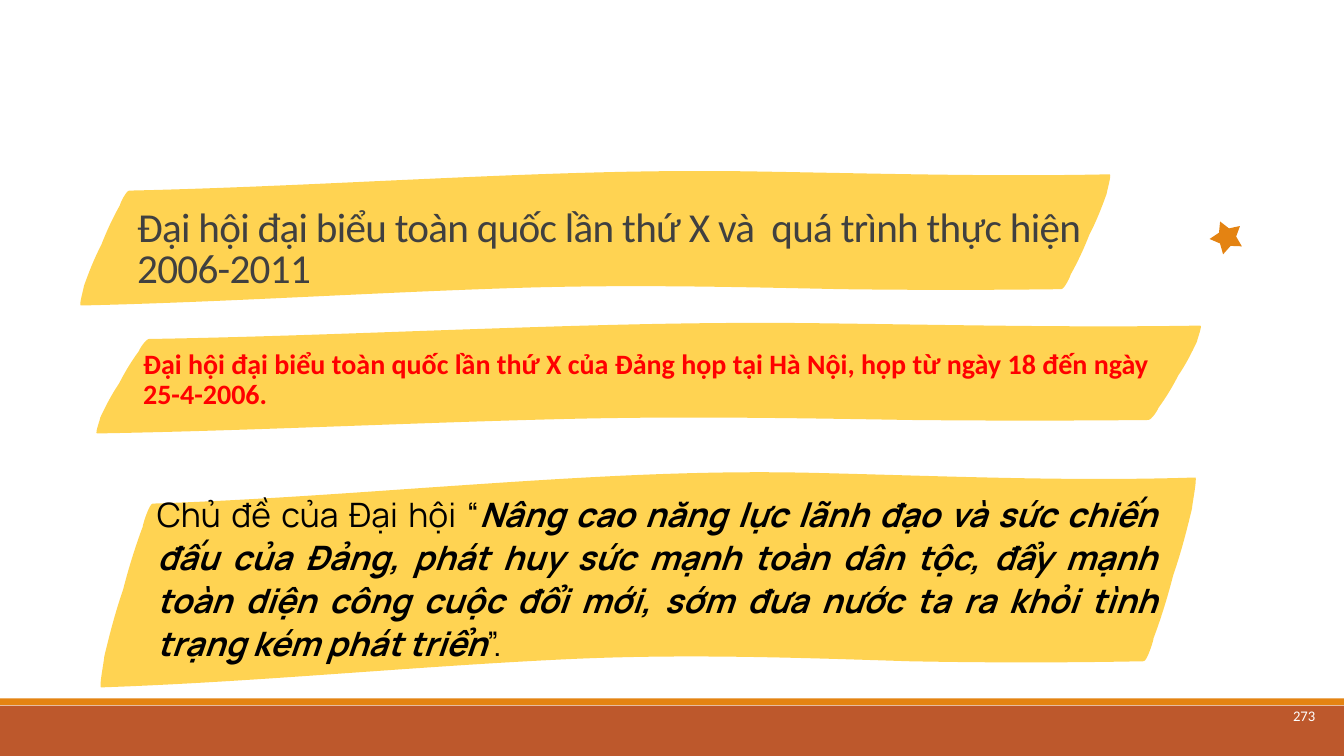
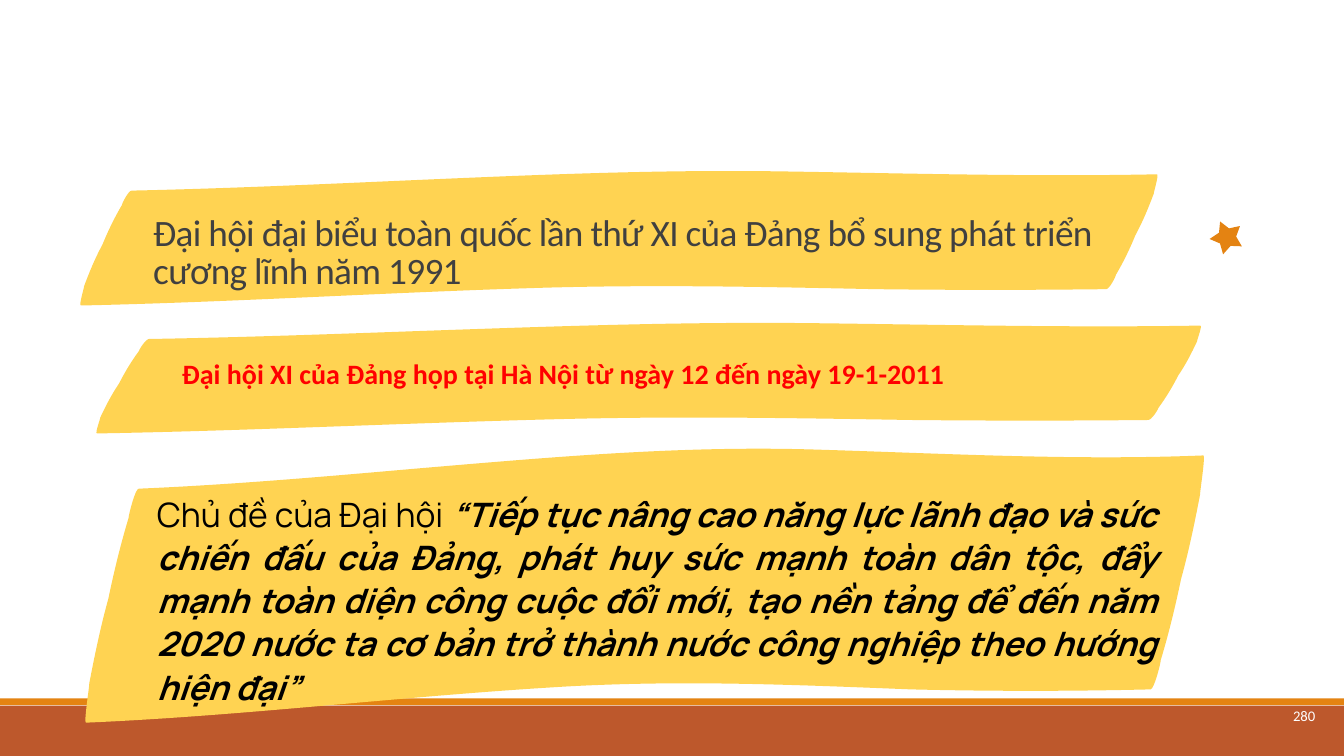
import math
from dataclasses import dataclass

import pptx
import pptx.dml.color
import pptx.enum.shapes
import pptx.enum.text
import pptx.oxml.ns
import pptx.presentation
import pptx.shapes.base
import pptx.slide
import pptx.util

Pt = pptx.util.Pt
qn = pptx.oxml.ns.qn
ALIGN = pptx.enum.text.PP_ALIGN
ANCHOR = pptx.enum.text.MSO_ANCHOR
SHAPE = pptx.enum.shapes.MSO_SHAPE

COLORS = {
    "rust": "BD582C",
    "orange": "E48312",
    "ribbon": "FFD352",
    "title": "404040",
    "date": "FF0000",
    "theme": "000000",
    "number": "FFFFFF",
}

SLIDE_WIDTH, SLIDE_HEIGHT = 960, 540
BLANK_LAYOUT = 6

Point = tuple[float, float]
Curve = tuple[Point, Point, Point]

RIBBON_START: Point = (2, 1000)
LEFT_EDGE: list[Curve] = [
    ((0, 1000), (5, 873), (5, 858)),
    ((10, 753), (15, 655), (22, 553)),
    ((27, 455), (33, 356), (40, 262)),
    ((40, 251), (46, 156), (49, 156)),
]
TOP_EDGE: list[Curve] = [
    ((131, 142), (213, 113), (295, 84)),
    ((423, 40), (534, 0), (653, 15)),
    ((768, 29), (883, 55), (998, 36)),
]
RIGHT_EDGE: list[Curve] = [
    tuple((1000 - x, 1036 - y) for x, y in curve) for curve in LEFT_EDGE
]
BOTTOM_EDGE: list[Curve] = [
    ((880, 887), (808, 887), (737, 880)),
    ((627, 862), (534, 847), (433, 869)),
    ((289, 902), (146, 975), (2, 1000)),
]
RIBBON_CURVES = LEFT_EDGE + TOP_EDGE + RIGHT_EDGE + BOTTOM_EDGE

STAR_CENTER: Point = (877.3, 170)
STAR_RADII = (12.4, 6.6)
STAR_ROTATION = 48.8


@dataclass(frozen=True)
class Box:
    left: float
    top: float
    width: float
    height: float

    def lengths(self) -> list[pptx.util.Length]:
        return [Pt(value) for value in (self.left, self.top, self.width, self.height)]


@dataclass(frozen=True)
class TextStyle:
    font: str
    size: float
    color: str
    bold: bool = False
    align: ALIGN = ALIGN.LEFT
    anchor: ANCHOR = ANCHOR.TOP
    line_spacing: float = 1.0
    tracking: float = 0
    inset_x: float = 9.36
    inset_y: float = 9.36


@dataclass(frozen=True)
class Phrase:
    text: str
    strong: bool = False


@dataclass(frozen=True)
class CongressSlide:
    number: str
    title: str
    title_size: float
    title_box: Box
    title_ribbon: Box
    date: str
    date_box: Box
    theme: list[Phrase]
    theme_box: Box
    theme_ribbon: Box


DATE_RIBBON = Box(67.7, 229.7, 791.3, 79.9)
NUMBER_BOX = Box(903.2, 481.7, 56.8, 58.3)
FOOTER_BARS = [
    (Box(0, 504, SLIDE_WIDTH, 36), "rust"),
    (Box(0, 498.8, SLIDE_WIDTH, 5), "orange"),
]

NUMBER_STYLE = TextStyle("Calibri", 10.5, "number", align=ALIGN.CENTER, anchor=ANCHOR.MIDDLE)
DATE_STYLE = TextStyle("Calibri", 20, "date", bold=True, line_spacing=0.9)
THEME_STYLE = TextStyle("Manrope", 24, "theme", align=ALIGN.JUSTIFY,
                        line_spacing=1.07, inset_x=7.2, inset_y=3.6)

CONGRESSES = [
    CongressSlide(
        number="273",
        title="Đại hội đại biểu toàn quốc lần thứ X và  quá trình thực hiện 2006-2011",
        title_size=29.4,
        title_box=Box(88.6, 96.5, 719.3, 121.7),
        title_ribbon=Box(56.2, 121, 738, 97.2),
        date="Đại hội đại biểu toàn quốc lần thứ X của Đảng họp tại Hà Nội, "
             "họp từ ngày 18 đến ngày 25-4-2006.",
        date_box=Box(92.9, 240.8, 740.9, 82.1),
        theme=[
            Phrase("Chủ đề của Đại hội “"),
            Phrase("Nâng cao năng lực lãnh đạo và sức chiến đấu của Đảng, "
                   "phát huy sức mạnh toàn dân tộc, đẩy mạnh toàn diện công cuộc đổi mới, "
                   "sớm đưa nước ta ra khỏi tình trạng kém phát triển", strong=True),
            Phrase("”."),
        ],
        theme_box=Box(105, 347.3, 728.6, 131.8),
        theme_ribbon=Box(70.6, 335.5, 784.8, 155.5),
    ),
    CongressSlide(
        number="280",
        title="Đại hội đại biểu toàn quốc lần thứ XI của Đảng bổ sung phát triển "
              "cương lĩnh năm 1991",
        title_size=26.6,
        title_box=Box(100.1, 96.5, 719.3, 121.7),
        title_ribbon=Box(56.2, 121, 771.8, 97.2),
        date="Đại hội XI của Đảng họp tại Hà Nội từ ngày 12 đến ngày 19-1-2011",
        date_box=Box(120.6, 247.7, 740.9, 82.1),
        theme=[
            Phrase("Chủ đề của Đại hội "),
            Phrase("“Tiếp tục nâng cao năng lực lãnh đạo và sức chiến đấu của Đảng, "
                   "phát huy sức mạnh toàn dân tộc, đẩy mạnh toàn diện công cuộc đổi mới, "
                   "tạo nền tảng để đến năm 2020 nước ta cơ bản trở thành nước công nghiệp "
                   "theo hướng hiện đại”", strong=True),
        ],
        theme_box=Box(105, 347.3, 728.6, 162.7),
        theme_ribbon=Box(59.8, 318.2, 801.4, 198),
    ),
]


def rgb(color: str) -> pptx.dml.color.RGBColor:
    return pptx.dml.color.RGBColor.from_string(COLORS[color])


def paint(shape: pptx.shapes.base.BaseShape, color: str) -> None:
    shape.shadow.inherit = False
    shape.fill.solid()
    shape.fill.fore_color.rgb = rgb(color)
    shape.line.fill.background()


def add_outline(slide: pptx.slide.Slide, points: list[Point],
                color: str) -> pptx.shapes.base.BaseShape:
    start, *others = [(Pt(x), Pt(y)) for x, y in points]
    builder = slide.shapes.build_freeform(*start)
    builder.add_line_segments(others, close=True)
    shape = builder.convert_to_shape()
    paint(shape, color)
    return shape


def bend_lines(shape: pptx.shapes.base.BaseShape) -> None:
    lines = list(shape._element.iter(qn("a:lnTo")))
    for index in range(0, len(lines), 3):
        first, *others = lines[index:index + 3]
        first.tag = qn("a:cubicBezTo")
        for line in others:
            first.append(line[0])
            line.getparent().remove(line)


def add_ribbon(slide: pptx.slide.Slide, box: Box) -> None:
    controls = [RIBBON_START] + [point for curve in RIBBON_CURVES for point in curve]
    points = [
        (box.left + box.width * x / 1000, box.top + box.height * y / 1000)
        for x, y in controls
    ]
    bend_lines(add_outline(slide, points, "ribbon"))


def add_star(slide: pptx.slide.Slide) -> None:
    center_x, center_y = STAR_CENTER
    points = []
    for corner in range(10):
        angle = math.radians(36 * corner)
        radius = STAR_RADII[corner % 2]
        points.append((center_x + radius * math.sin(angle),
                       center_y - radius * math.cos(angle)))
    add_outline(slide, points, "orange").rotation = STAR_ROTATION


def add_text(slide: pptx.slide.Slide, box: Box, style: TextStyle, phrases: list[Phrase]) -> None:
    frame = slide.shapes.add_textbox(*box.lengths()).text_frame
    frame.word_wrap = True
    frame.vertical_anchor = style.anchor
    frame.margin_left = frame.margin_right = Pt(style.inset_x)
    frame.margin_top = frame.margin_bottom = Pt(style.inset_y)
    paragraph = frame.paragraphs[0]
    paragraph.alignment = style.align
    paragraph.line_spacing = style.line_spacing
    for phrase in phrases:
        run = paragraph.add_run()
        run.text = phrase.text
        run.font.name = style.font
        run.font.size = Pt(style.size)
        run.font.bold = style.bold or phrase.strong
        run.font.italic = phrase.strong
        run.font.color.rgb = rgb(style.color)
        if style.tracking:
            run.font._element.set("spc", str(round(style.tracking * 100)))


def add_footer(slide: pptx.slide.Slide) -> None:
    for box, color in FOOTER_BARS:
        paint(slide.shapes.add_shape(SHAPE.RECTANGLE, *box.lengths()), color)


def add_congress(presentation: pptx.presentation.Presentation, congress: CongressSlide) -> None:
    slide = presentation.slides.add_slide(presentation.slide_layouts[BLANK_LAYOUT])
    title_style = TextStyle("Calibri", congress.title_size, "title", anchor=ANCHOR.BOTTOM,
                            line_spacing=0.85, tracking=-0.5)
    add_footer(slide)
    add_ribbon(slide, congress.title_ribbon)
    add_ribbon(slide, DATE_RIBBON)
    add_text(slide, NUMBER_BOX, NUMBER_STYLE, [Phrase(congress.number)])
    add_text(slide, congress.title_box, title_style, [Phrase(congress.title)])
    add_text(slide, congress.date_box, DATE_STYLE, [Phrase(congress.date)])
    add_star(slide)
    add_ribbon(slide, congress.theme_ribbon)
    add_text(slide, congress.theme_box, THEME_STYLE, congress.theme)


def main() -> None:
    presentation = pptx.Presentation()
    presentation.slide_width = Pt(SLIDE_WIDTH)
    presentation.slide_height = Pt(SLIDE_HEIGHT)
    for congress in CONGRESSES:
        add_congress(presentation, congress)
    presentation.save("out.pptx")


if __name__ == "__main__":
    main()
